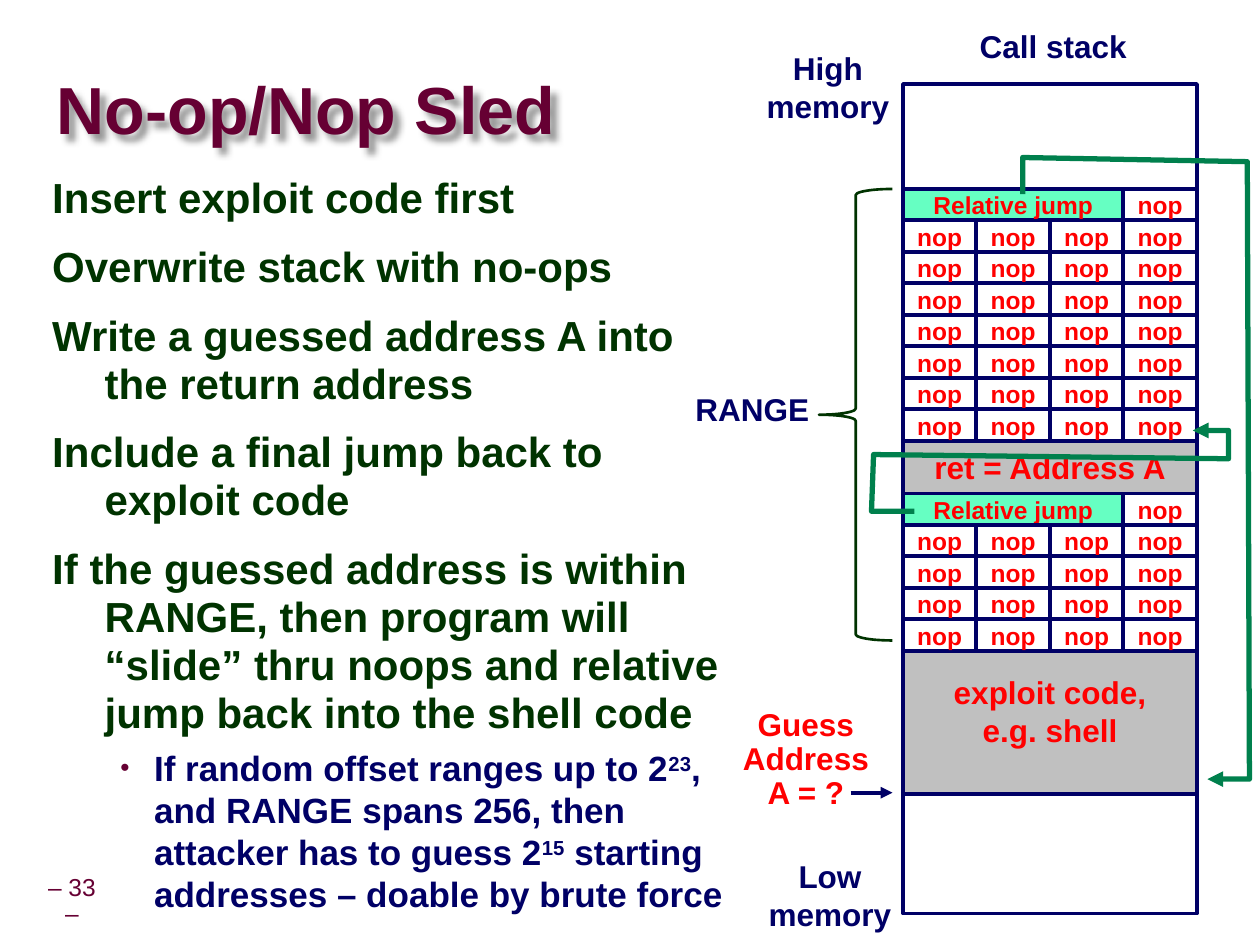
import pptx
import pptx.dml.color
import pptx.enum.shapes
import pptx.enum.text
import pptx.oxml
import pptx.oxml.ns
import pptx.util

PX = 7620
HUES = {
    "wine": "660033", "green": "003300", "navy": "000066", "red": "FF0000",
    "gray": "C0C0C0", "white": "FFFFFF", "mint": "66FFC2", "path": "00804D",
}
SHAPES = pptx.enum.shapes.MSO_SHAPE
ALIGN = pptx.enum.text.PP_ALIGN
MIDDLE = pptx.enum.text.MSO_ANCHOR.MIDDLE
TOP = pptx.enum.text.MSO_ANCHOR.TOP
COL, ROW = 70, 30
POINTS = [
    "Insert exploit code first",
    "Overwrite stack with no-ops",
    "Write a guessed address A into the return address",
    "Include a final jump back to exploit code",
    "If the guessed address is within RANGE, then program will “slide” thru "
    "noops and relative jump back into the shell code",
]
ODDS = [
    ("If random offset ranges up to 2", False), ("23", True),
    (", and RANGE spans 256, then attacker has to guess 2", False), ("15", True),
    (" starting addresses – doable by brute force", False),
]


def rgb(hue):
    """Return the named colour."""
    return pptx.dml.color.RGBColor.from_string(HUES[hue])


def emu(*sizes):
    """Turn px lengths into EMU."""
    return [pptx.util.Emu(size * PX) for size in sizes]


def add_xml(parent, tag, inner="", **attrs):
    """Append a drawing element to the parent."""
    space = pptx.oxml.ns.nsdecls("a")
    words = " ".join(f'{key}="{val}"' for key, val in attrs.items())
    parent.append(pptx.oxml.parse_xml(f"<a:{tag} {space} {words}>{inner}</a:{tag}>"))


def style(para, size, hue, bold=True, align=ALIGN.CENTER, gap=None):
    """Format a paragraph and its runs."""
    para.alignment = align
    if gap:
        para.line_spacing = gap
    for run in para.runs:
        font = run.font
        font.name, font.size, font.bold = "Arial", pptx.util.Pt(size), bold
        font.color.rgb = rgb(hue)


def stroke(shape, hue, width, arrow=False):
    """Set the line of a shape or connector."""
    shape.line.color.rgb = rgb(hue)
    shape.line.width = pptx.util.Pt(width)
    if arrow:
        add_xml(shape.line._get_or_add_ln(), "tailEnd", type="triangle")


def add_label(slide, box, text, hue="navy", size=18, gap=None, bold=True, anchor=MIDDLE):
    """Add centred text that does not wrap."""
    label = slide.shapes.add_textbox(*emu(*box))
    frame = label.text_frame
    frame.word_wrap = False
    frame.vertical_anchor = anchor
    frame.text = text
    for para in frame.paragraphs:
        style(para, size, hue, bold, gap=gap)


def add_block(slide, box, fill, text="", size=14, width=2.25, drop=0):
    """Add one outlined block of memory."""
    block = slide.shapes.add_shape(SHAPES.RECTANGLE, *emu(*box))
    block.shadow.inherit = False
    block.fill.solid()
    block.fill.fore_color.rgb = rgb(fill)
    stroke(block, "navy", width)
    if text:
        frame = block.text_frame
        frame.vertical_anchor = MIDDLE
        frame.margin_top = emu(6 + drop)[0]
        frame.text = text
        for para in frame.paragraphs:
            style(para, size, "red")


def add_sled(slide, left, top, rows):
    """Add a relative jump and the rows of nops under it."""
    add_block(slide, (left, top, 3 * COL, ROW), "mint", "Relative jump")
    for row in range(rows):
        for col in range(4):
            if row or col == 3:
                add_block(slide, (left + col * COL, top + row * ROW, COL, ROW), "white", "nop")


def add_route(slide, spots):
    """Add a bent jump arrow through the spots."""
    build = slide.shapes.build_freeform(*spots[0], scale=PX)
    build.add_line_segments(spots[1:], close=False)
    route = build.convert_to_shape()
    route.shadow.inherit = False
    route.fill.background()
    stroke(route, "path", 3, True)


def add_title(slide, box):
    """Place the title and give it a soft shadow."""
    title = slide.shapes.title
    title.left, title.top, title.width, title.height = emu(*box)
    frame = title.text_frame
    frame.text = "No-op/Nop Sled"
    frame.auto_size = pptx.enum.text.MSO_AUTO_SIZE.NONE
    frame.vertical_anchor = MIDDLE
    frame.margin_left = frame.margin_right = frame.margin_top = frame.margin_bottom = 0
    style(frame.paragraphs[0], 38, "wine", align=ALIGN.LEFT, gap=0.87)
    title.shadow.inherit = False
    glow = title._element.spPr.find(pptx.oxml.ns.qn("a:effectLst"))
    tint = '<a:srgbClr val="000000"><a:alpha val="40000"/></a:srgbClr>'
    add_xml(glow, "outerShdw", tint, blurRad=50800, dist=63500, dir=2700000, algn="tl")


def indent(para, left, hang):
    """Set a hanging indent and return the paragraph properties."""
    props = para._p.get_or_add_pPr()
    props.set("marL", str(left * PX))
    props.set("indent", str(-hang * PX))
    return props


def add_points(slide, box):
    """Add the main points and the bullet on the odds."""
    frame = slide.shapes.add_textbox(*emu(*box)).text_frame
    frame.word_wrap = True
    frame.text = "\n".join(POINTS)
    for para in frame.paragraphs:
        style(para, 24, "green", align=ALIGN.LEFT, gap=0.95)
        para.space_before = pptx.util.Pt(12)
        indent(para, 50, 50)
    para = frame.add_paragraph()
    para.level = 1
    para.space_before = pptx.util.Pt(5)
    for text, raised in ODDS:
        run = para.add_run()
        run.text = text
        if raised:
            run._r.get_or_add_rPr().set("baseline", "30000")
    style(para, 20, "navy", align=ALIGN.LEFT)
    props = indent(para, 97, 32)
    add_xml(props, "buClr", f'<a:srgbClr val="{HUES["wine"]}"/>')
    add_xml(props, "buSzPct", val=75000)
    add_xml(props, "buFont", typeface="Arial")
    add_xml(props, "buChar", char="•")


def add_stack(slide, left, top):
    """Add the call stack with its sleds and jump arrows."""
    wide = 4 * COL
    add_block(slide, (left, top + 340, wide, 50), "gray", "ret = Address A", 18, 2)
    add_block(slide, (left, top + 620, wide, 170), "white", width=2)
    add_block(slide, (left, top + 482, wide, 194), "gray", "exploit code,\ne.g. shell", 18, drop=36)
    add_sled(slide, left, top + 390, 5)
    add_sled(slide, left, top + 100, 8)
    add_block(slide, (left, top, wide, 100), "white", width=2)
    near = [(11, 407), (-30, 407), (-28, 353), (310, 357), (310, 330), (276, 330)]
    far = [(114, 105), (114, 70), (328, 74), (330, 662), (290, 662)]
    for spots in (near, far):
        add_route(slide, [(left + x, top + y) for x, y in spots])


def add_marks(slide, left, top):
    """Add the labels, brace and pointer beside the stack."""
    brace = slide.shapes.add_shape(SHAPES.LEFT_BRACE, *emu(left + 130, top + 160, 70, 430))
    brace.shadow.inherit = False
    brace.fill.background()
    brace.adjustments[0] = 0.083
    stroke(brace, "green", 1.5)
    add_label(slide, (left, top + 350, 133, 45), "RANGE", gap=0.9, anchor=TOP)
    add_label(slide, (left + 45, top + 650, 145, 110), "Guess\nAddress\nA = ?", "red",
              gap=0.9, anchor=TOP)
    add_label(slide, (left + 68, top + 20, 141, 85), "High\nmemory")
    add_label(slide, (left + 70, top + 790, 141, 85), "Low\nmemory")
    add_label(slide, (left + 270, top, 166, 48), "Call stack")
    ends = emu(left + 160, top + 735, left + 200, top + 735)
    arrow = slide.shapes.add_connector(pptx.enum.shapes.MSO_CONNECTOR.STRAIGHT, *ends)
    stroke(arrow, "navy", 2.25, True)
    add_xml(arrow._element.spPr, "effectLst")


def main():
    """Build and save the slide."""
    deck = pptx.Presentation()
    deck.slide_width, deck.slide_height = emu(1200, 900)
    slide = deck.slides.add_slide(deck.slide_layouts[5])
    add_title(slide, (54, 58, 1056, 100))
    add_points(slide, (38, 161, 682, 685))
    add_marks(slide, 650, 20)
    add_stack(slide, 860, 80)
    add_label(slide, (29, 840, 79, 37), "– 33 –", "wine", 14, 0.9, False)
    deck.save("out.pptx")


if __name__ == "__main__":
    main()
